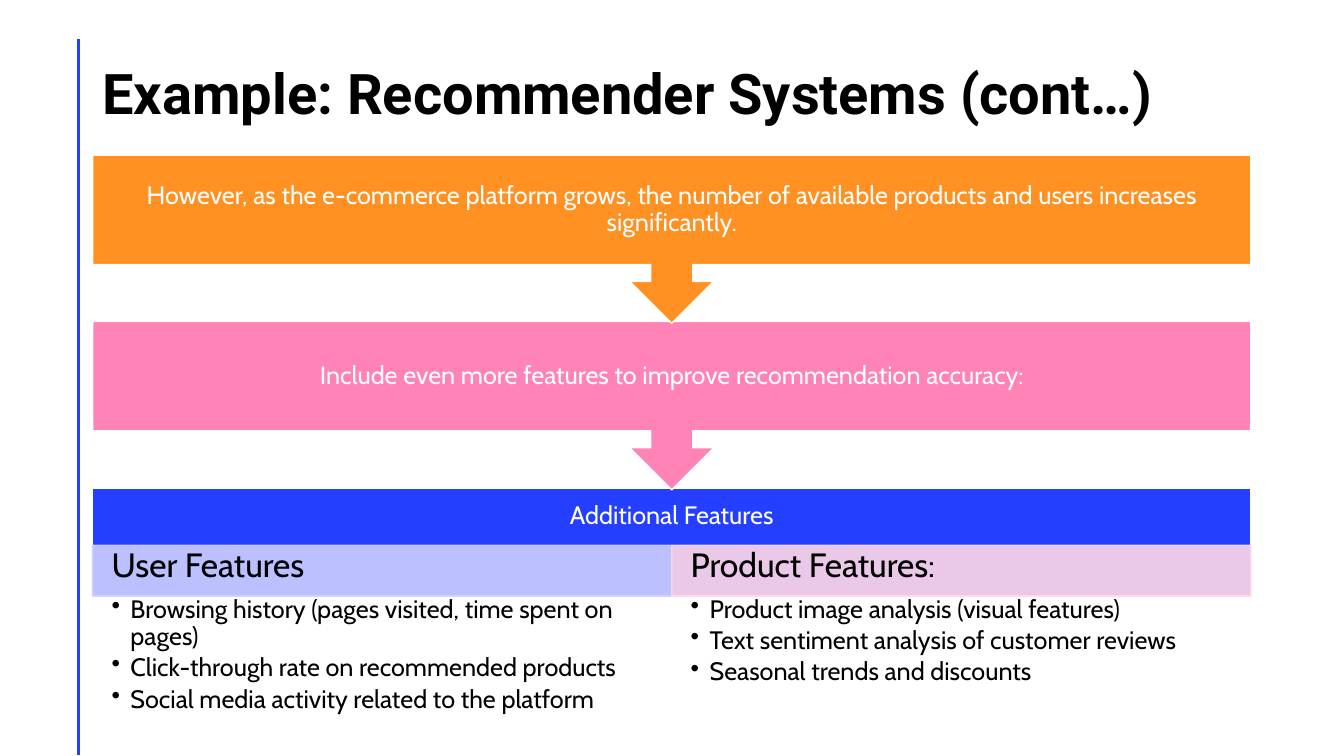
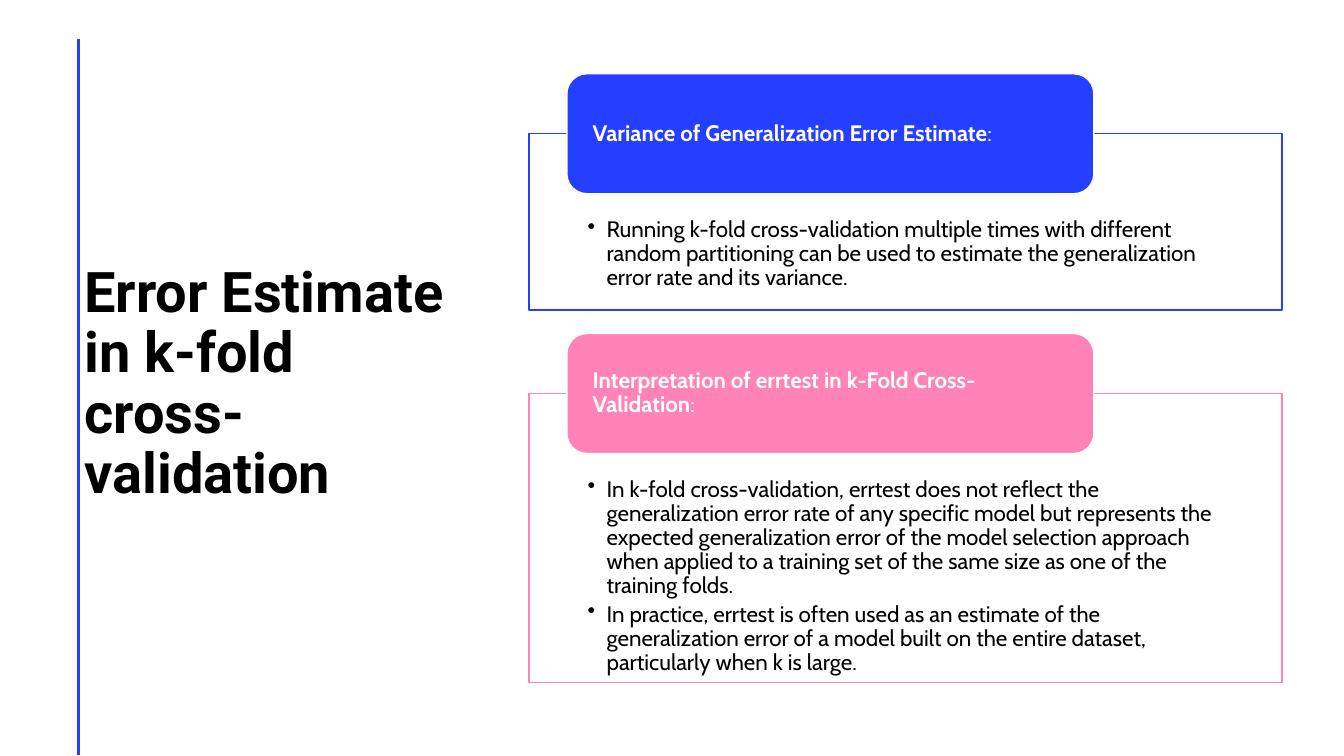
"""Build two slides on recommender features and k-fold error estimates."""
from dataclasses import dataclass

from lxml import etree
from pptx import Presentation
from pptx.dml.color import RGBColor
from pptx.enum.shapes import MSO_CONNECTOR, MSO_SHAPE
from pptx.enum.text import MSO_ANCHOR, PP_ALIGN
from pptx.oxml.ns import qn
from pptx.util import Pt

RECT = MSO_SHAPE.RECTANGLE
ROUNDED = MSO_SHAPE.ROUNDED_RECTANGLE
DOWN_CALLOUT = MSO_SHAPE.DOWN_ARROW_CALLOUT
STRAIGHT = MSO_CONNECTOR.STRAIGHT
TOP, MIDDLE = MSO_ANCHOR.TOP, MSO_ANCHOR.MIDDLE
LEFT, CENTER = PP_ALIGN.LEFT, PP_ALIGN.CENTER


@dataclass(frozen=True)
class Theme:
    """Colours, fonts, type sizes and spacing shared by the slides."""
    blue: str = "243FFF"
    pink: str = "FF83B6"
    orange: str = "FF9022"
    lavender: str = "CDCFFF"
    blush: str = "FFD9E5"
    white: str = "FFFFFF"
    black: str = "000000"
    title_font: str = "Roboto"
    body_font: str = "Cabin"
    title_size: int = 40
    heading_size: int = 24
    band_size: int = 18
    panel_size: int = 16
    line_spacing: float = 0.9
    bullet_gap: int = 3
    bullet_indent: float = 13.5


THEME = Theme()
FLOW_BOX = (66.2, 110.9, 827.3, 315)
PANELS_BOX = (378, 52.7, 537.8, 435)

STEPS = [
    ("However, as the e-commerce platform grows, the number of available "
     "products and users increases significantly.", THEME.orange),
    ("Include even more features to improve recommendation accuracy:", THEME.pink),
]
FEATURES = [
    ("User Features", THEME.lavender, [
        "Browsing history (pages visited, time spent on pages)",
        "Click-through rate on recommended products",
        "Social media activity related to the platform"]),
    ("Product Features:", THEME.blush, [
        "Product image analysis (visual features)",
        "Text sentiment analysis of customer reviews",
        "Seasonal trends and discounts"]),
]
PANELS = [
    ("Variance of Generalization Error Estimate", THEME.blue, 126, [
        "Running k-fold cross-validation multiple times with different random "
        "partitioning can be used to estimate the generalization error rate "
        "and its variance."]),
    ("Interpretation of errtest in k-Fold Cross-Validation", THEME.pink, 206.6, [
        "In k-fold cross-validation, errtest does not reflect the generalization "
        "error rate of any specific model but represents the expected "
        "generalization error of the model selection approach when applied to a "
        "training set of the same size as one of the training folds.",
        "In practice, errtest is often used as an estimate of the generalization "
        "error of a model built on the entire dataset, particularly when k is "
        "large."]),
]


def points(box):
    """Convert a box of point values to lengths."""
    return [Pt(value) for value in box]


def add_block(slide, kind, box, fill, outline=THEME.white, opacity=None):
    """Add a flat filled shape, optionally translucent."""
    block = slide.shapes.add_shape(kind, *points(box))
    block.shadow.inherit = False
    block.fill.solid()
    block.fill.fore_color.rgb = RGBColor.from_string(fill)
    block.line.color.rgb = RGBColor.from_string(outline)
    block.line.width = Pt(1)
    if opacity is not None:
        for colour in block._element.spPr.iter(qn("a:srgbClr")):
            etree.SubElement(colour, qn("a:alpha"), val=str(opacity * 1000))
    return block


def prepare_frame(holder, anchor, insets):
    """Set wrapping, anchor and left, top, right, bottom insets."""
    frame = holder.text_frame
    frame.word_wrap = True
    frame.vertical_anchor = anchor
    (frame.margin_left, frame.margin_top,
     frame.margin_right, frame.margin_bottom) = points(insets)
    return frame


def style_paragraph(paragraph, size, colour, font=THEME.body_font, align=LEFT):
    """Apply the shared line spacing and one font to a paragraph."""
    paragraph.alignment = align
    paragraph.line_spacing = THEME.line_spacing
    paragraph.font.size = Pt(size)
    paragraph.font.name = font
    paragraph.font.color.rgb = RGBColor.from_string(colour)


def write_line(holder, text, size, colour, insets, anchor=MIDDLE, align=LEFT):
    """Write one paragraph of body text."""
    paragraph = prepare_frame(holder, anchor, insets).paragraphs[0]
    paragraph.text = text
    style_paragraph(paragraph, size, colour, align=align)


def write_bullets(holder, items, size, insets):
    """Write a top-anchored bulleted list."""
    frame = prepare_frame(holder, TOP, insets)
    for index, item in enumerate(items):
        paragraph = frame.add_paragraph() if index else frame.paragraphs[0]
        paragraph.text = item
        properties = paragraph._p.get_or_add_pPr()
        properties.set("marL", str(Pt(THEME.bullet_indent)))
        properties.set("indent", str(-Pt(THEME.bullet_indent)))
        etree.SubElement(properties, qn("a:buChar"), char="•")
        paragraph.space_after = Pt(THEME.bullet_gap)
        style_paragraph(paragraph, size, THEME.black)


def start_slide(deck, title, title_box):
    """Add a blank slide with the side rule and its title."""
    slide = deck.slides.add_slide(deck.slide_layouts[6])
    rule = slide.shapes.add_connector(STRAIGHT, *points((56.2, 28, 56.2, 539.5)))
    rule.line.color.rgb = RGBColor.from_string(THEME.blue)
    rule.line.width = Pt(2)
    etree.SubElement(rule._element.spPr, qn("a:effectLst"))
    heading = slide.shapes.add_textbox(*points(title_box))
    paragraph = prepare_frame(heading, MIDDLE, (7.2, 3.6, 7.2, 3.6)).paragraphs[0]
    paragraph.text = title
    style_paragraph(paragraph, THEME.title_size, THEME.black, THEME.title_font)
    paragraph.font.bold = True
    return slide


def add_feature(slide, box, feature):
    """Add a tinted heading strip with its list underneath."""
    heading, tint, items = feature
    left, top, width, height = box
    strip = add_block(slide, RECT, box, tint, tint, opacity=90)
    write_line(strip, heading, THEME.heading_size, THEME.black,
               (13.5, 2.2, 13.5, 0), TOP)
    listing = slide.shapes.add_textbox(*points((left, top + height, width, 88)))
    write_bullets(listing, items, THEME.band_size, (13.5, 0, 13.5, 0))


def add_flow(slide, box):
    """Stack the callout steps above the feature band."""
    left, top, width, height = box
    pitch, callout_height, strip_height = 118.8, 120.2, 36.3
    band_top = top + pitch * len(STEPS)
    band_height = top + height - band_top
    band = add_block(slide, RECT, (left, band_top, width, band_height), THEME.blue)
    write_line(band, "Additional Features", THEME.band_size, THEME.white,
               (10, 10, 10, 10 + strip_height), align=CENTER)
    column = width / len(FEATURES)
    for index, feature in enumerate(FEATURES):
        add_feature(slide, (left + index * column, top + height - strip_height,
                            column, strip_height), feature)
    for index, (text, colour) in reversed(list(enumerate(STEPS))):
        step = add_block(slide, DOWN_CALLOUT,
                         (left, top + index * pitch, width, callout_height), colour)
        write_line(step, text, THEME.band_size, THEME.white,
                   (10, 10, 10, 10), align=CENTER)


def add_panel(slide, box, label, colour, items):
    """Add an outlined list with a rounded label astride its top edge."""
    left, top, width, height = box
    label_height = 85.7
    frame = add_block(slide, RECT, box, THEME.white, colour)
    write_bullets(frame, items, THEME.panel_size, (41.8, 60.2, 41.8, 8.5))
    tab = add_block(slide, ROUNDED, (left + width * 0.05, top - label_height / 2,
                                     width * 0.7, label_height), colour)
    write_line(tab, label, THEME.panel_size, THEME.white, (14.2, 0, 14.2, 0))
    paragraph = tab.text_frame.paragraphs[0]
    paragraph.runs[0].font.bold = True
    paragraph.add_run().text = ":"


def add_panels(slide, box):
    """Stack the labelled panels with equal gaps."""
    left, top, width, height = box
    overhang = 42.85
    used = sum(overhang + panel[2] for panel in PANELS)
    gap = (height - used) / (len(PANELS) - 1)
    for label, colour, panel_height, items in PANELS:
        add_panel(slide, (left, top + overhang, width, panel_height),
                  label, colour, items)
        top += overhang + panel_height + gap


def main():
    """Build and save the deck."""
    deck = Presentation()
    deck.slide_width, deck.slide_height = Pt(960), Pt(540)
    add_flow(start_slide(deck, "Example: Recommender Systems (cont…)",
                         (66.2, 26.6, 827.3, 85)), FLOW_BOX)
    add_panels(start_slide(deck, "Error Estimate in k-fold cross-validation",
                           (53.3, 77, 280, 396)), PANELS_BOX)
    deck.save("out.pptx")


if __name__ == "__main__":
    main()
